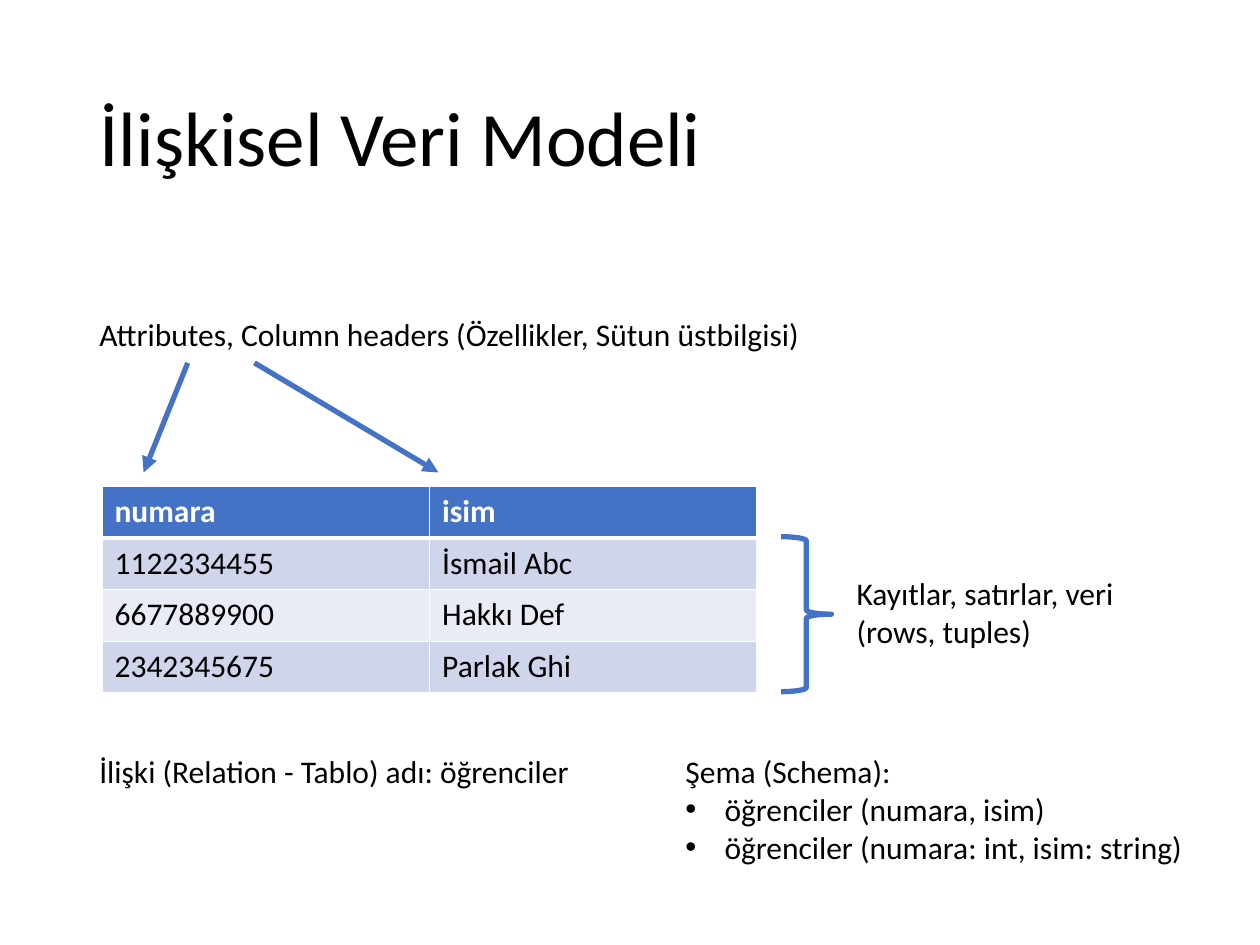
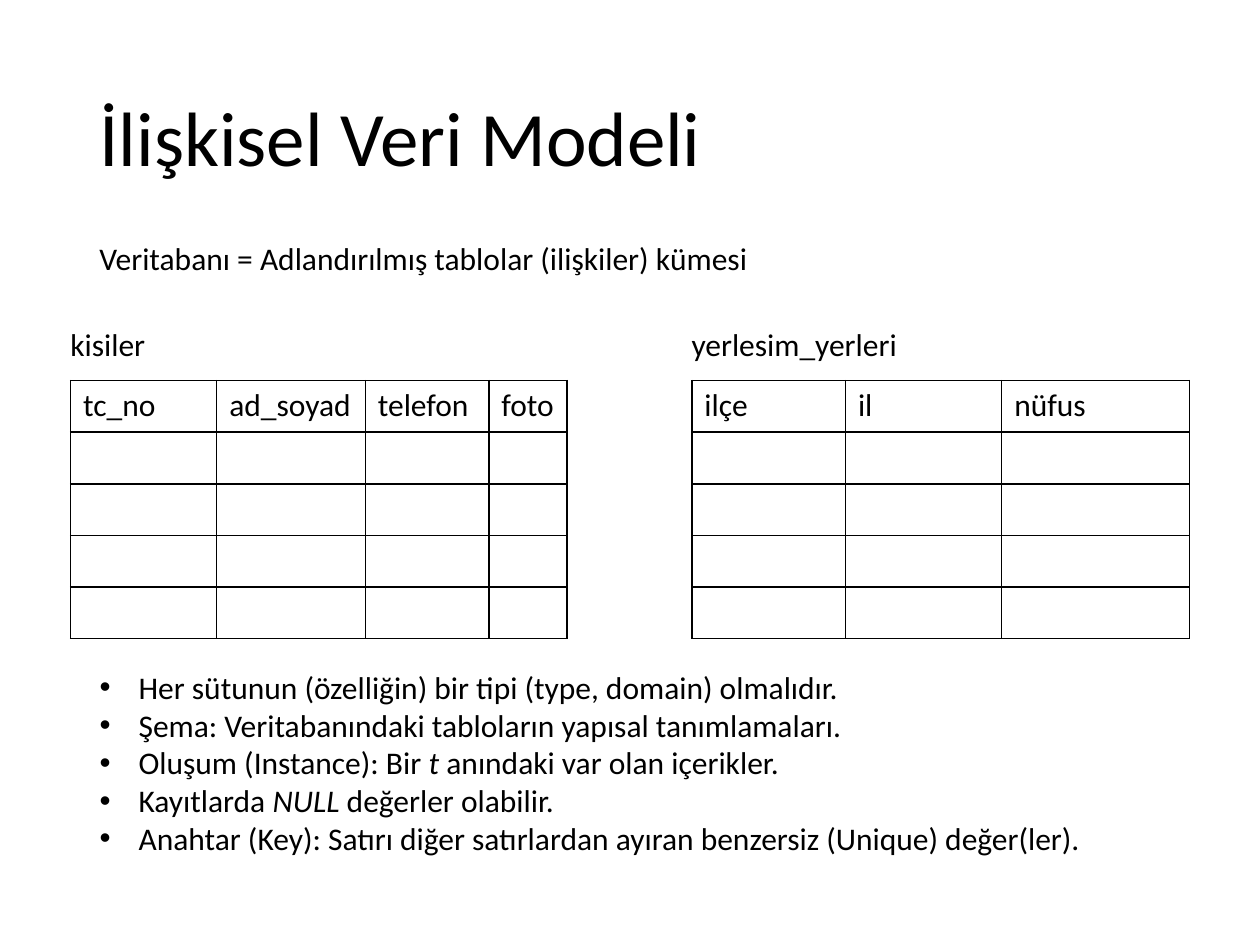
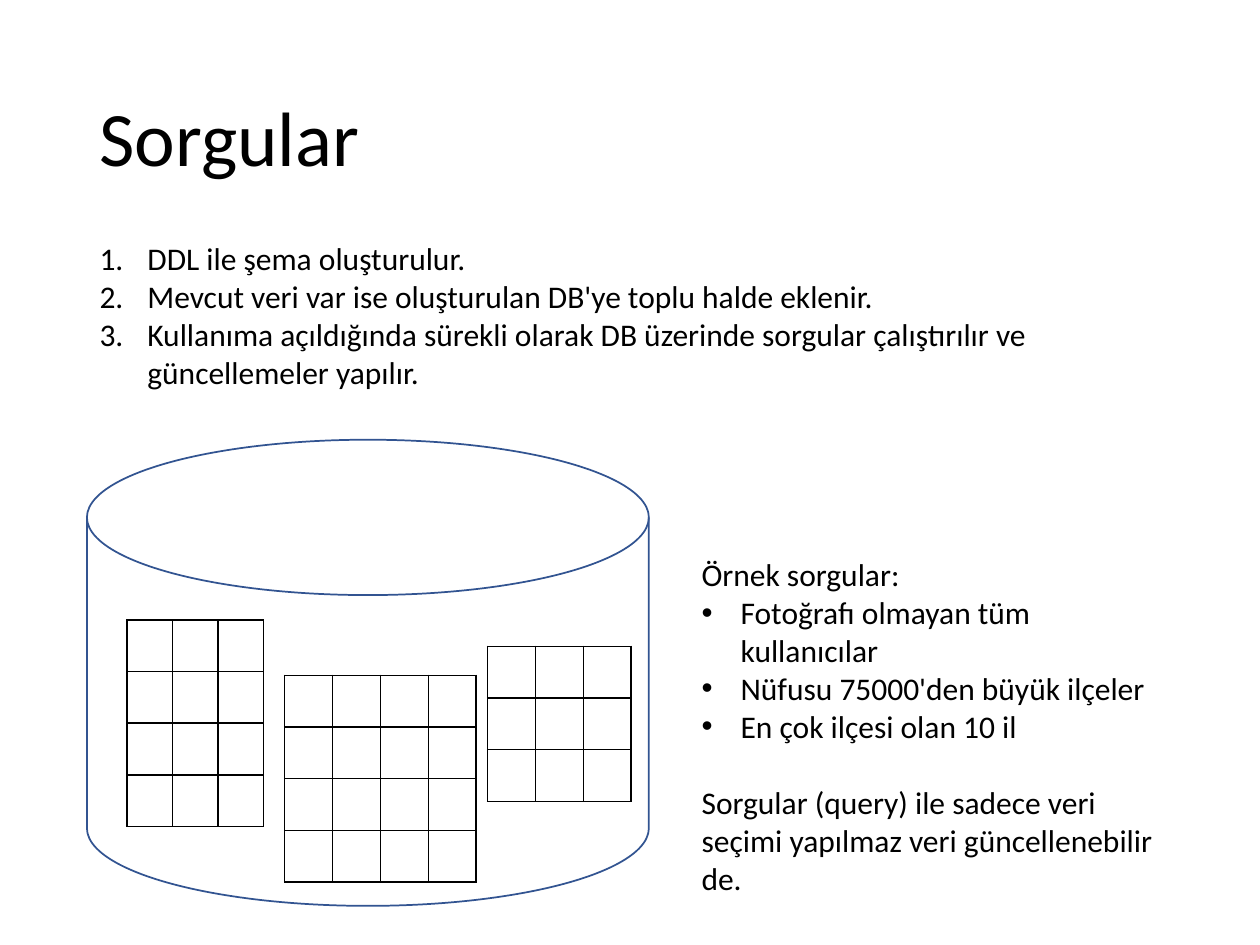
from itertools import product
from lxml import etree
from pptx import Presentation
from pptx import util as u
from pptx.dml import color
from pptx.enum import shapes, text
from pptx.oxml import ns

FONT, BLACK, WHITE, BLUE, NAVY = "Calibri", "000000", "FFFFFF", "4472C4", "325491"
BANDS = ("CFD5EA", "E9EBF5")
LEFT, TOP, WIDE, LINE, ROW = 0.69, 1.85, 8.62, 0.4, 0.41
INDENT = {"•": 0.31, "1.": 0.38}

MODEL = "İlişkisel Veri Modeli"
PEOPLE = [
    ("numara", "isim"),
    ("1122334455", "İsmail Abc"),
    ("6677889900", "Hakkı Def"),
    ("2342345675", "Parlak Ghi"),
]
LABELS = [
    ((LEFT, 2.45, 5.83, LINE), ["Attributes, Column headers (Özellikler, Sütun üstbilgisi)"]),
    ((6.7, 4.51, 2.32, 0.71), ["Kayıtlar, satırlar, veri", "(rows, tuples)"]),
    ((LEFT, 5.92, 3.98, LINE), ["İlişki (Relation - Tablo) adı: öğrenciler"]),
]
ARROWS = [(1.49, 1.14), (2.02, 3.48)]
SCHEMA = [
    ("", "Şema (Schema):"),
    ("•", "öğrenciler (numara, isim)"),
    ("•", "öğrenciler (numara: int, isim: string)"),
]
DEFINE = "Veritabanı = Adlandırılmış tablolar (ilişkiler) kümesi"
TABLES = [
    ("kisiler", 0.56, 0.8, ["tc_no", "ad_soyad", "telefon", "foto"], [1.16, 1.18, 0.98, 0.62]),
    ("yerlesim_yerleri", 5.49, 1.85, ["ilçe", "il", "nüfus"], [1.22, 1.24, 1.49]),
]
RULES = [
    "Her sütunun (özelliğin) bir tipi (type, domain) olmalıdır.",
    "Şema: Veritabanındaki tabloların yapısal tanımlamaları.",
    "Oluşum (Instance): Bir *t* anındaki var olan içerikler.",
    "Kayıtlarda *NULL* değerler olabilir.",
    "Anahtar (Key): Satırı diğer satırlardan ayıran benzersiz (Unique) değer(ler).",
]
STEPS = [
    "DDL ile şema oluşturulur.",
    "Mevcut veri var ise oluşturulan DB'ye toplu halde eklenir.",
    "Kullanıma açıldığında sürekli olarak DB üzerinde sorgular çalıştırılır ve güncellemeler yapılır.",
]
QUERIES = [
    ("", "Örnek sorgular:"),
    ("•", "Fotoğrafı olmayan tüm kullanıcılar"),
    ("•", "Nüfusu 75000'den büyük ilçeler"),
    ("•", "En çok ilçesi olan 10 il"),
    ("", "Sorgular (query) ile sadece veri seçimi yapılmaz veri güncellenebilir de."),
]
GRIDS = [(1.01, 4.92, 4, 3, 0.36), (2.26, 5.36, 4, 4, 0.38), (3.87, 5.13, 3, 3, 0.38)]


def rgb(code):
    return color.RGBColor.from_string(code)


def inches(*sizes):
    return [u.Inches(size) for size in sizes]


def node(parent, tag, **attrs):
    return etree.SubElement(parent, ns.qn("a:" + tag), attrs)


def style(para, size=18, code=BLACK, bold=False):
    font = para.font
    font.name, font.size, font.bold = FONT, u.Pt(size), bold
    font.color.rgb = rgb(code)


def place(shape, box):
    shape.left, shape.top, shape.width, shape.height = inches(*box)


def bullet(para, mark):
    props = para._p.get_or_add_pPr()
    depth = u.Inches(INDENT.get(mark, 0))
    props.set("marL", str(depth))
    props.set("indent", str(-depth))
    if mark == "•":
        node(props, "buFont", typeface="Arial")
        node(props, "buChar", char=mark)
    elif mark:
        node(props, "buFont", typeface="+mj-lt")
        node(props, "buAutoNum", type="arabicPeriod")
    else:
        node(props, "buNone")


def write(shape, items, wrap=False):
    frame = shape.text_frame
    frame.word_wrap = wrap
    frame.auto_size = text.MSO_AUTO_SIZE.NONE
    for i, (mark, words) in enumerate(items):
        para = frame.add_paragraph() if i else frame.paragraphs[0]
        bullet(para, mark)
        para.space_before = u.Pt(0)
        style(para)
        for j, part in enumerate(words.split("*")):
            run = para.add_run()
            run.text = part
            if j % 2:
                run.font.italic = True


def label(slide, box, lines, wrap=False):
    write(slide.shapes.add_textbox(*inches(*box)), [("", line) for line in lines], wrap)


def fill_body(slide, box, items, wrap=True):
    body = slide.placeholders[1]
    place(body, box)
    write(body, items, wrap)


def edge(cell, code, last=1):
    props = cell._tc.get_or_add_tcPr()
    for side, width in zip("LRTB", (1, 1, 1, last)):
        line = node(props, "ln" + side, w=str(u.Pt(width)))
        node(node(line, "solidFill"), "srgbClr", val=code)


def add_grid(slide, left, top, rows, widths, banded=False):
    count = len(rows)
    box = inches(left, top, sum(widths), count * ROW)
    table = slide.shapes.add_table(count, len(widths), *box).table
    table.first_row = table.horz_banding = False
    for col, width in zip(table.columns, widths):
        col.width = u.Inches(width)
    for row in table.rows:
        row.height = u.Inches(ROW)
    for r, c in product(range(count), range(len(widths))):
        cell, head = table.cell(r, c), banded and r == 0
        cell.text = rows[r][c]
        style(cell.text_frame.paragraphs[0], code=WHITE if head else BLACK, bold=head)
        edge(cell, WHITE if banded else BLACK, 3 if head else 1)
        if banded:
            cell.fill.solid()
            cell.fill.fore_color.rgb = rgb(BLUE if head else BANDS[(r - 1) % 2])
        else:
            cell.fill.background()


def ink(shape, code, width):
    shape.line.color.rgb = rgb(code)
    shape.line.width = u.Pt(width)


def outline(slide, kind, box, code, width):
    shape = slide.shapes.add_shape(kind, *inches(*box))
    shape.shadow.inherit = False
    shape.fill.background()
    ink(shape, code, width)


def arrow(slide, start, end):
    line = slide.shapes.add_connector(shapes.MSO_CONNECTOR.STRAIGHT, *inches(*start, *end))
    ink(line, BLUE, 3)
    node(line.line._get_or_add_ln(), "tailEnd", type="triangle")
    node(line._element.spPr, "effectLst")


def add_page(deck, title):
    slide = deck.slides.add_slide(deck.slide_layouts[1])
    place(slide.shapes.title, (LEFT, 0.4, WIDE, 1.45))
    slide.shapes.title.text = title
    para = slide.shapes.title.text_frame.paragraphs[0]
    para.alignment, para.line_spacing = text.PP_ALIGN.LEFT, 0.9
    style(para, 44)
    return slide


def add_model(deck):
    slide = add_page(deck, MODEL)
    add_grid(slide, 0.81, 3.86, PEOPLE, [2.6, 2.6], banded=True)
    for box, lines in LABELS:
        label(slide, box, lines)
    for start, end in ARROWS:
        arrow(slide, (start, 2.88), (end, 3.75))
    outline(slide, shapes.MSO_SHAPE.RIGHT_BRACE, (6.2, 4.26, 0.4, 3 * ROW), BLUE, 3)
    fill_body(slide, (5.34, 5.92, 4.19, 1.01), SCHEMA, wrap=False)


def add_tables(deck):
    slide = add_page(deck, MODEL)
    label(slide, (LEFT, TOP, WIDE, LINE), [DEFINE], wrap=True)
    for name, left, width, heads, widths in TABLES:
        label(slide, (left - 0.1, 2.53, width, LINE), [name])
        add_grid(slide, left, 3.02, [heads] + [[""] * len(heads)] * 4, widths)
    fill_body(slide, (LEFT, 5.25, WIDE, 1.62), [("•", rule) for rule in RULES])


def add_queries(deck):
    slide = add_page(deck, "Sorgular")
    fill_body(slide, (LEFT, TOP, 8.73, 1.31), [("1.", step) for step in STEPS])
    outline(slide, shapes.MSO_SHAPE.FLOWCHART_MAGNETIC_DISK, (LEFT, 3.49, 4.46, 3.7), NAVY, 1)
    for left, top, rows, cols, width in GRIDS:
        add_grid(slide, left, top, [[""] * cols] * rows, [width] * cols)
    notes = slide.shapes.add_textbox(*inches(5.47, 4.36, 3.94, 2.83))
    write(notes, QUERIES, wrap=True)
    notes.text_frame.paragraphs[-1].space_before = u.Pt(22)


def main():
    deck = Presentation()
    deck.slide_width, deck.slide_height = inches(10, 7.5)
    for build in (add_model, add_tables, add_queries):
        build(deck)
    deck.save("out.pptx")


if __name__ == "__main__":
    main()
